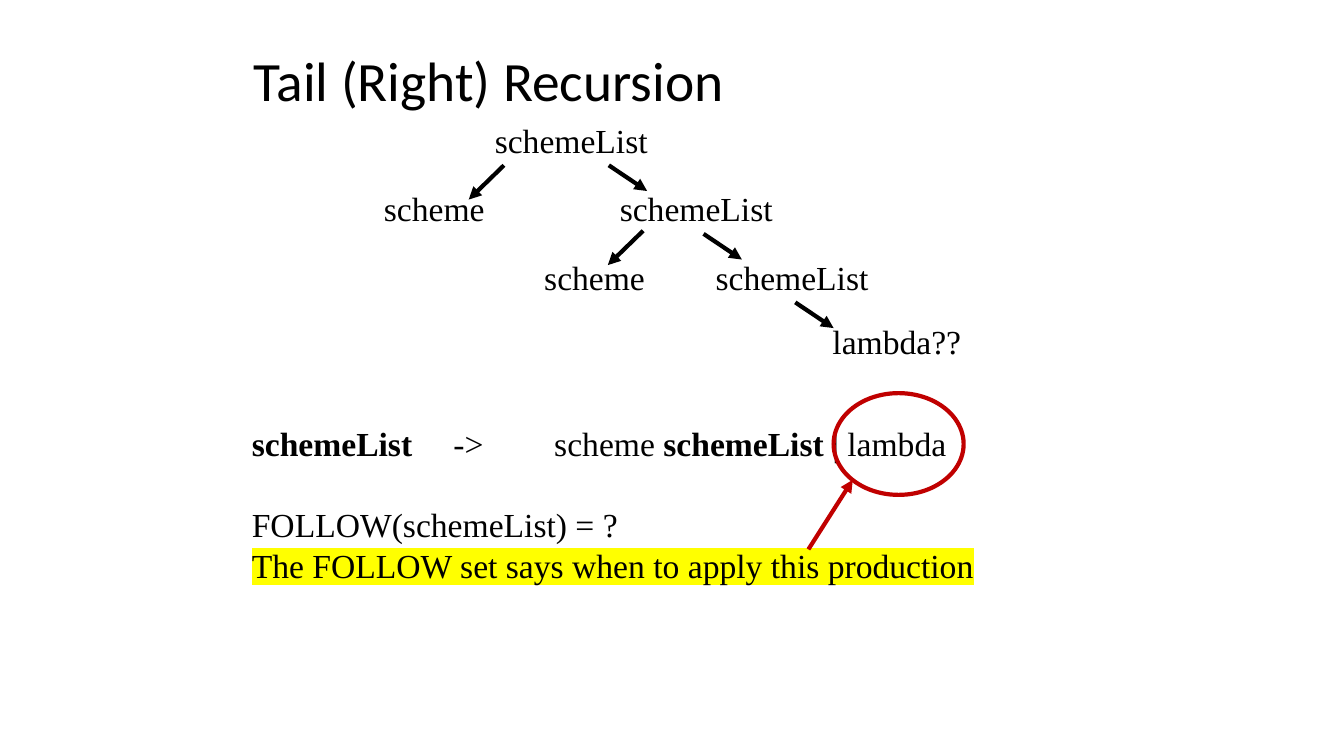
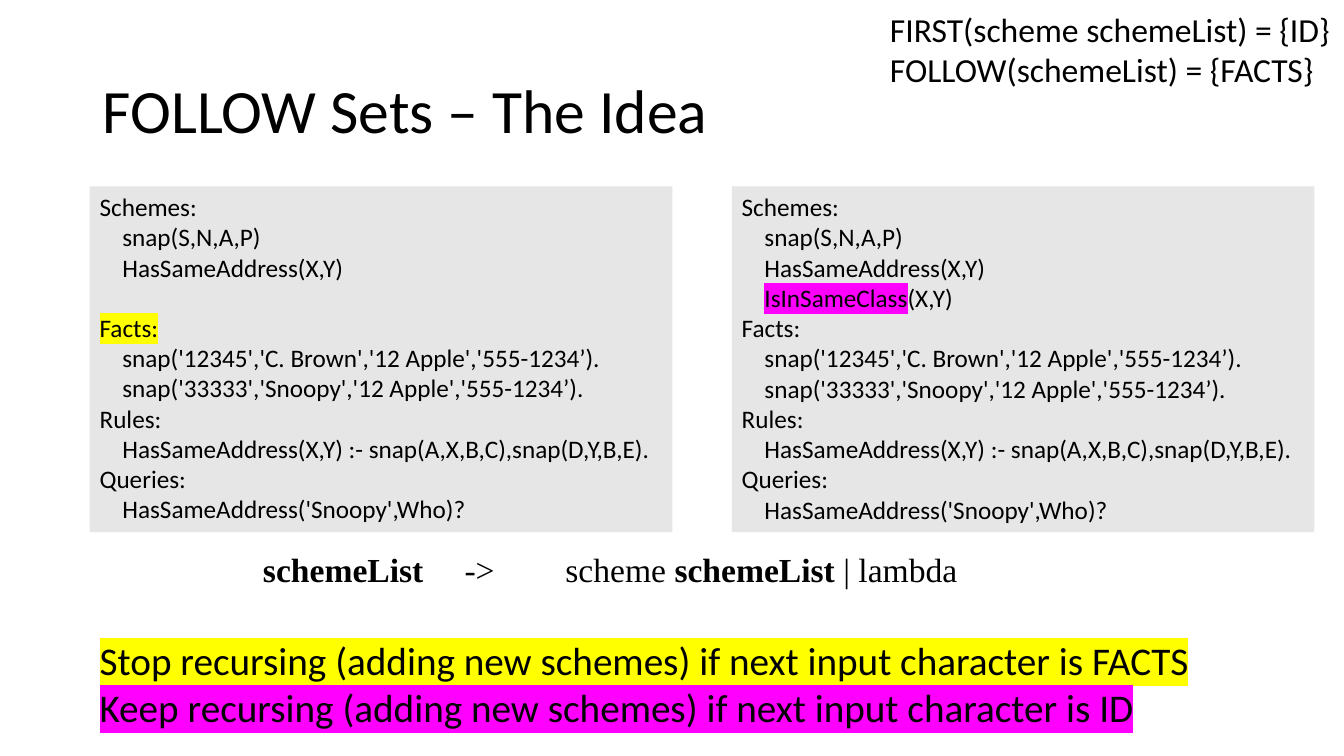
from dataclasses import dataclass

from lxml.etree import SubElement
from pptx import Presentation
from pptx.dml.color import RGBColor
from pptx.enum.shapes import MSO_CONNECTOR, MSO_SHAPE
from pptx.enum.text import MSO_ANCHOR, PP_ALIGN
from pptx.oxml import parse_xml
from pptx.oxml.ns import nsdecls, qn
from pptx.shapes.autoshape import Shape
from pptx.slide import Slide
from pptx.util import Inches, Pt

WIDTH, HEIGHT = 13.33, 7.5
COLS, ROWS = 40, 30

BLACK = RGBColor(0x00, 0x00, 0x00)
RED = RGBColor(0xC0, 0x00, 0x00)
PANEL_GREY = RGBColor(0xE7, 0xE6, 0xE6)
YELLOW = RGBColor(0xFF, 0xFF, 0x00)
MAGENTA = RGBColor(0xFF, 0x00, 0xFF)

SANS, SERIF = "Calibri", "Times New Roman"
LINE_WIDTH = Pt(3)


@dataclass(frozen=True)
class Box:
    col: float
    row: float
    cols: float
    rows: float


@dataclass(frozen=True)
class Span:
    text: str
    bold: bool = False
    mark: RGBColor | None = None


@dataclass(frozen=True)
class Line:
    spans: tuple[Span, ...]
    gap: float = 0
    tabs: tuple[float, ...] = ()


@dataclass(frozen=True)
class Style:
    size: float
    font: str = SANS
    wrap: bool = True
    anchor: MSO_ANCHOR = MSO_ANCHOR.TOP
    spacing: float = 1.0


@dataclass(frozen=True)
class Node:
    text: str
    col: float
    row: float


@dataclass(frozen=True)
class Arrow:
    col: float
    row: float
    dcol: float
    drow: float
    color: RGBColor = BLACK


BODY = Style(24, SERIF)
CODE = Style(18, wrap=False)
NOTE = Style(24, wrap=False)
ADVICE = Style(28, wrap=False)


def line(text: str, mark: RGBColor | None = None, gap: float = 0) -> Line:
    return Line((Span(text, mark=mark),), gap)


GRAMMAR = Line((
    Span("schemeList", bold=True),
    Span("\t->\tscheme "),
    Span("schemeList", bold=True),
    Span(" | lambda"),
), tabs=(6, 9))

NODES = (
    Node("schemeList", 14.43, 4.56),
    Node("scheme", 11.13, 7.28),
    Node("schemeList", 18.15, 7.28),
    Node("scheme", 15.9, 10),
    Node("schemeList", 21, 10),
    Node("lambda??", 24.48, 12.52),
)

RIGHT_STEP, LEFT_STEP = (1.14, 1.02), (-1.05, 1.36)
ARROWS = (
    Arrow(18.12, 6.56, *RIGHT_STEP),
    Arrow(20.94, 9.28, *RIGHT_STEP),
    Arrow(23.67, 12, *RIGHT_STEP),
    Arrow(15, 6.56, *LEFT_STEP),
    Arrow(19.14, 9.16, *LEFT_STEP),
)

SCHEMES = (
    line("Schemes:"),
    line("    snap(S,N,A,P)"),
    line("    HasSameAddress(X,Y)"),
)
PROGRAM_REST = (
    line("    snap('12345','C. Brown','12 Apple','555-1234’)."),
    line("    snap('33333','Snoopy','12 Apple','555-1234’)."),
    line("Rules:"),
    line("    HasSameAddress(X,Y) :- snap(A,X,B,C),snap(D,Y,B,E)."),
    line("Queries:"),
    line("    HasSameAddress('Snoopy',Who)?"),
)
STOP_PROGRAM = (*SCHEMES, line("Facts:", YELLOW, gap=21.5), *PROGRAM_REST)
KEEP_PROGRAM = (
    *SCHEMES,
    Line((Span("    "), Span("IsInSameClass", mark=MAGENTA), Span("(X,Y)"))),
    line("Facts:"),
    *PROGRAM_REST,
)


def x(cols: float) -> int:
    return Inches(WIDTH * cols / COLS)


def y(rows: float) -> int:
    return Inches(HEIGHT * rows / ROWS)


def place(box: Box) -> tuple[int, int, int, int]:
    return x(box.col), y(box.row), x(box.cols), y(box.rows)


def fill_text(sp: Shape, lines: tuple[Line, ...], style: Style) -> None:
    tf = sp.text_frame
    tf.word_wrap = style.wrap
    tf.vertical_anchor = style.anchor
    for i, item in enumerate(lines):
        p = tf.add_paragraph() if i else tf.paragraphs[0]
        p.alignment = PP_ALIGN.LEFT
        p.line_spacing = style.spacing
        if item.gap:
            p.space_before = Pt(item.gap)
        if item.tabs:
            stops = SubElement(p._p.get_or_add_pPr(), qn("a:tabLst"))
            for tab in item.tabs:
                SubElement(stops, qn("a:tab"), pos=str(x(tab)), algn="l")
        for span in item.spans:
            r = p.add_run()
            r.text = span.text
            r.font.size = Pt(style.size)
            r.font.bold = span.bold
            r.font.color.rgb = BLACK
            if span.mark is not None:
                fill = r.font._element.find(qn("a:solidFill"))
                fill.addnext(parse_xml(
                    f'<a:highlight {nsdecls("a")}>'
                    f'<a:srgbClr val="{span.mark}"/></a:highlight>'
                ))
            r.font.name = style.font


def add_text(s: Slide, box: Box, lines: tuple[Line, ...], style: Style) -> None:
    fill_text(s.shapes.add_textbox(*place(box)), lines, style)


def add_title(s: Slide, box: Box, text: str, size: float) -> None:
    style = Style(size, anchor=MSO_ANCHOR.MIDDLE, spacing=0.9)
    add_text(s, box, (line(text),), style)


def add_panel(s: Slide, box: Box, lines: tuple[Line, ...]) -> None:
    sp = s.shapes.add_shape(MSO_SHAPE.RECTANGLE, *place(box))
    sp.shadow.inherit = False
    sp.fill.solid()
    sp.fill.fore_color.rgb = PANEL_GREY
    sp.line.fill.background()
    fill_text(sp, lines, CODE)


def add_ring(s: Slide, box: Box) -> None:
    sp = s.shapes.add_shape(MSO_SHAPE.OVAL, *place(box))
    sp.shadow.inherit = False
    sp.fill.background()
    sp.line.color.rgb = RED
    sp.line.width = LINE_WIDTH


def add_arrow(s: Slide, arrow: Arrow) -> None:
    sp = s.shapes.add_connector(
        MSO_CONNECTOR.STRAIGHT,
        x(arrow.col), y(arrow.row),
        x(arrow.col + arrow.dcol), y(arrow.row + arrow.drow),
    )
    sp.line.color.rgb = arrow.color
    sp.line.width = LINE_WIDTH
    SubElement(sp.line._get_or_add_ln(), qn("a:tailEnd"), type="triangle")
    SubElement(sp._element.spPr, qn("a:effectLst"))


def build_recursion(s: Slide) -> None:
    add_title(s, Box(7.26, 2.32, 25.5, 2), "Tail (Right) Recursion", 39.6)
    add_text(s, Box(7.2, 16.6, 25.3, 8.48), (
        GRAMMAR,
        line("FOLLOW(schemeList) = ?", gap=29),
        line("The FOLLOW set says when to apply this production", YELLOW),
    ), BODY)
    for node in NODES:
        add_text(s, Box(node.col, node.row, 5.58, 2), (line(node.text),), BODY)
    for arrow in ARROWS:
        add_arrow(s, arrow)
    add_ring(s, Box(24.81, 15.6, 3.87, 4.04))
    add_arrow(s, Arrow(24.06, 21.8, 1.32, -2.76, RED))


def build_follow_sets(s: Slide) -> None:
    add_title(s, Box(2.76, 1.6, 34.5, 5.8), "FOLLOW Sets – The Idea", 44)
    for i, program in enumerate((STOP_PROGRAM, KEEP_PROGRAM)):
        add_panel(s, Box(2.67 + 19.11 * i, 7.4, 17.34, 13.72), program)
    add_text(s, Box(7.53, 21.6, 27.24, 2), (GRAMMAR,), BODY)
    add_text(s, Box(2.67, 25.04, 33.39, 4.16), (
        line("Stop recursing (adding new schemes) if next input character is FACTS", YELLOW),
        line("Keep recursing (adding new schemes) if next input character is ID", MAGENTA),
    ), ADVICE)
    add_text(s, Box(26.19, 0.16, 13.8, 3.64), (
        line("FIRST(scheme schemeList) = {ID}"),
        line("FOLLOW(schemeList) = {FACTS}"),
    ), NOTE)


def main() -> None:
    prs = Presentation()
    prs.slide_width, prs.slide_height = Inches(WIDTH), Inches(HEIGHT)
    for build in (build_recursion, build_follow_sets):
        build(prs.slides.add_slide(prs.slide_layouts[6]))
    prs.save("out.pptx")


if __name__ == "__main__":
    main()
